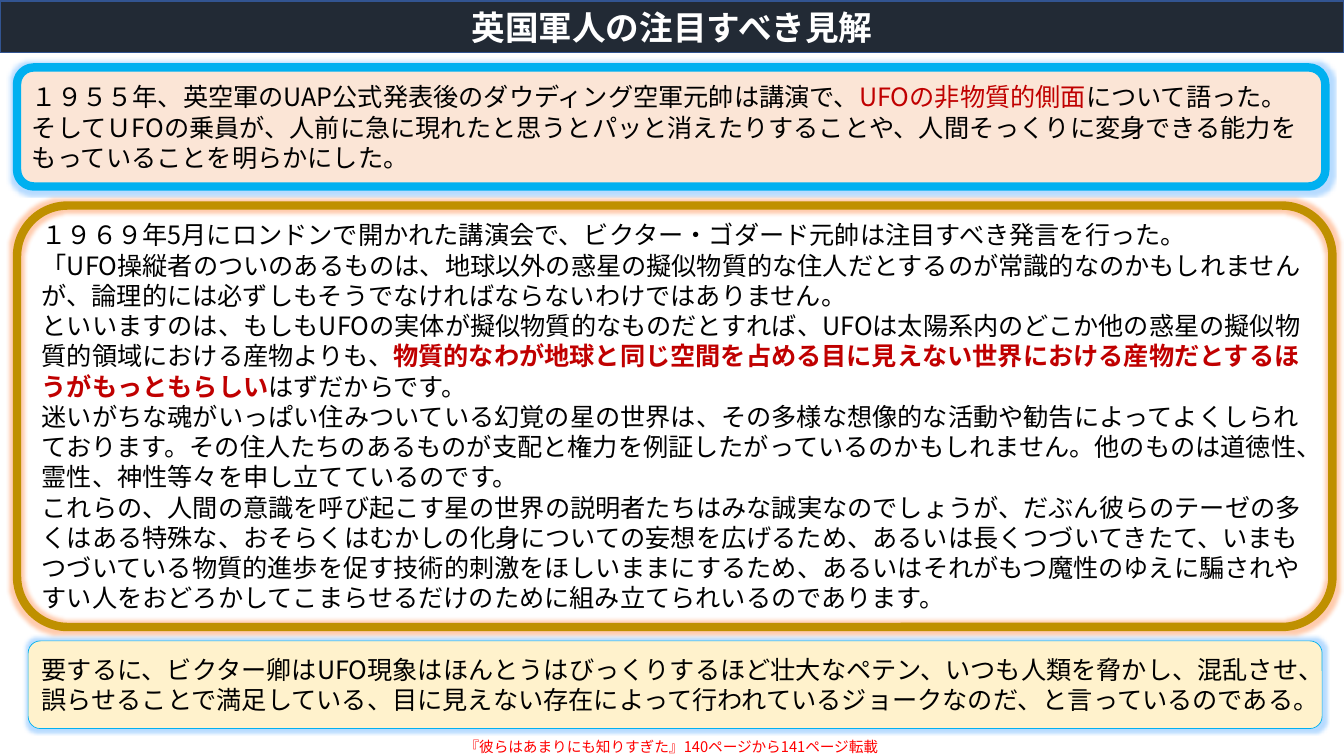
import pptx
import pptx.util
import pptx.dml.color
import pptx.enum.shapes
import pptx.enum.text
import pptx.enum.lang
import pptx.oxml.ns
import lxml.etree

Cm = pptx.util.Cm
Pt = pptx.util.Pt
look = dict(
    font="Noto Sans CJK JP", head=24, body=18, note=10.5,
    white="FFFFFF", black="000000", dark="222A35", navy="325491",
    red="C00000", bright="FF0000", sky="00B0F0", gold="BF9000",
    peach="FBE5D6", cream="FFF2CC", blue="4CA6FF", orange="FF7C30",
)


def tint(name):
    return pptx.dml.color.RGBColor.from_string(look[name])


def write(frame, paras, size, anchor, align):
    """Fill a frame with paragraphs of (words, colour, bold) runs."""
    frame.word_wrap = True
    frame.vertical_anchor = anchor
    for i, parts in enumerate(paras):
        para = frame.paragraphs[0] if i == 0 else frame.add_paragraph()
        para.alignment = align
        for words, color, bold in parts:
            run = para.add_run()
            run.text = words
            font = run.font
            font.name = look["font"]
            font.size = Pt(look[size])
            font.bold = bold
            font.color.rgb = tint(color)
            font.language_id = pptx.enum.lang.MSO_LANGUAGE_ID.JAPANESE
            # East Asian letters take their own typeface
            lxml.etree.SubElement(
                run.font._element, pptx.oxml.ns.qn("a:ea"), typeface=look["font"])


middle = pptx.enum.text.MSO_ANCHOR.MIDDLE
left = pptx.enum.text.PP_ALIGN.LEFT
deck = pptx.Presentation()
deck.slide_width, deck.slide_height = Cm(33.87), Cm(19.05)
slide = deck.slides.add_slide(deck.slide_layouts[5])

# Title bar
title = slide.shapes.title
title.left, title.top, title.width, title.height = Cm(0), Cm(0.03), Cm(33.87), Cm(1.3)
title.fill.solid()
title.fill.fore_color.rgb = tint("dark")
title.line.color.rgb = tint("navy")
title.line.width = Pt(1)
title.text_frame.auto_size = pptx.enum.text.MSO_AUTO_SIZE.NONE
write(title.text_frame, [[("英国軍人の注目すべき見解", "white", True)]],
      "head", middle, pptx.enum.text.PP_ALIGN.CENTER)

# Wording of the three boxes
intro = [[
    ("１９５５年、英空軍のUAP公式発表後のダウディング空軍元帥は講演で、", "black", False),
    ("UFOの非物質的側面", "red", False),
    ("について語った。そしてＵFOの乗員が、人前に急に現れたと思うとパッと消えたりすることや、"
     "人間そっくりに変身できる能力をもっていることを明らかにした。", "black", False),
]]
speech = [
    [("１９６９年5月にロンドンで開かれた講演会で、ビクター・ゴダード元帥は注目すべき発言を行った。",
      "black", False)],
    [("「UFO操縦者のついのあるものは、地球以外の惑星の擬似物質的な住人だとするのが常識的なのかもしれませんが、"
      "論理的には必ずしもそうでなければならないわけではありません。", "black", False)],
    [("といいますのは、もしもUFOの実体が擬似物質的なものだとすれば、"
      "UFOは太陽系内のどこか他の惑星の擬似物質的領域における産物よりも、", "black", False),
     ("物質的なわが地球と同じ空間を占める目に見えない世界における産物だとするほうがもっともらしい", "red", True),
     ("はずだからです。", "black", False)],
    [("迷いがちな魂がいっぱい住みついている幻覚の星の世界は、その多様な想像的な活動や勧告によってよくしられております。"
      "その住人たちのあるものが支配と権力を例証したがっているのかもしれません。"
      "他のものは道徳性、霊性、神性等々を申し立てているのです。", "black", False)],
    [("これらの、人間の意識を呼び起こす星の世界の説明者たちはみな誠実なのでしょうが、"
      "だぶん彼らのテーゼの多くはある特殊な、おそらくはむかしの化身についての妄想を広げるため、"
      "あるいは長くつづいてきたて、いまもつづいている物質的進歩を促す技術的刺激をほしいままにするため、"
      "あるいはそれがもつ魔性のゆえに騙されやすい人をおどろかしてこまらせるだけのために"
      "組み立てられいるのであります。", "black", False)],
]
result = [[
    ("要するに、ビクター卿はUFO現象はほんとうはびっくりするほど壮大なペテン、"
     "いつも人類を脅かし、混乱させ、誤らせることで満足している、"
     "目に見えない存在によって行われているジョークなのだ、と言っているのである。", "black", False),
]]

# Rounded boxes with a soft glow: place, corner, fill, line, weight, glow, words
boxes = [
    ((0.43, 1.7, 32.97, 3), 0.14, "peach", "sky", 6, "blue", intro),
    ((0.43, 5.18, 33.15, 10.62), 0.12, None, "gold", 6, "orange", speech),
    ((0.71, 16.15, 32.61, 2.21), 0.14, "cream", "sky", 0.5, "blue", result),
]
for place, corner, fill, line, weight, halo, paras in boxes:
    box = slide.shapes.add_shape(
        pptx.enum.shapes.MSO_SHAPE.ROUNDED_RECTANGLE, *map(Cm, place))
    box.adjustments[0] = corner
    if fill:
        box.fill.solid()
        box.fill.fore_color.rgb = tint(fill)
    else:
        box.fill.background()
    box.line.color.rgb = tint(line)
    box.line.width = Pt(weight)
    box.shadow.inherit = False
    effects = box._element.spPr.find(pptx.oxml.ns.qn("a:effectLst"))
    glow = lxml.etree.SubElement(effects, pptx.oxml.ns.qn("a:glow"), rad=str(Pt(5)))
    color = lxml.etree.SubElement(glow, pptx.oxml.ns.qn("a:srgbClr"), val=look[halo])
    lxml.etree.SubElement(color, pptx.oxml.ns.qn("a:alpha"), val="40000")
    write(box.text_frame, paras, "body", middle, left)

# Source line
note = slide.shapes.add_textbox(Cm(11.46), Cm(18.47), Cm(11.28), Cm(0.74))
write(note.text_frame, [[
    ("『彼らはあまりにも知りすぎた』140ページから141ページ転載", "bright", False),
]], "note", pptx.enum.text.MSO_ANCHOR.TOP, left)

deck.save("out.pptx")
